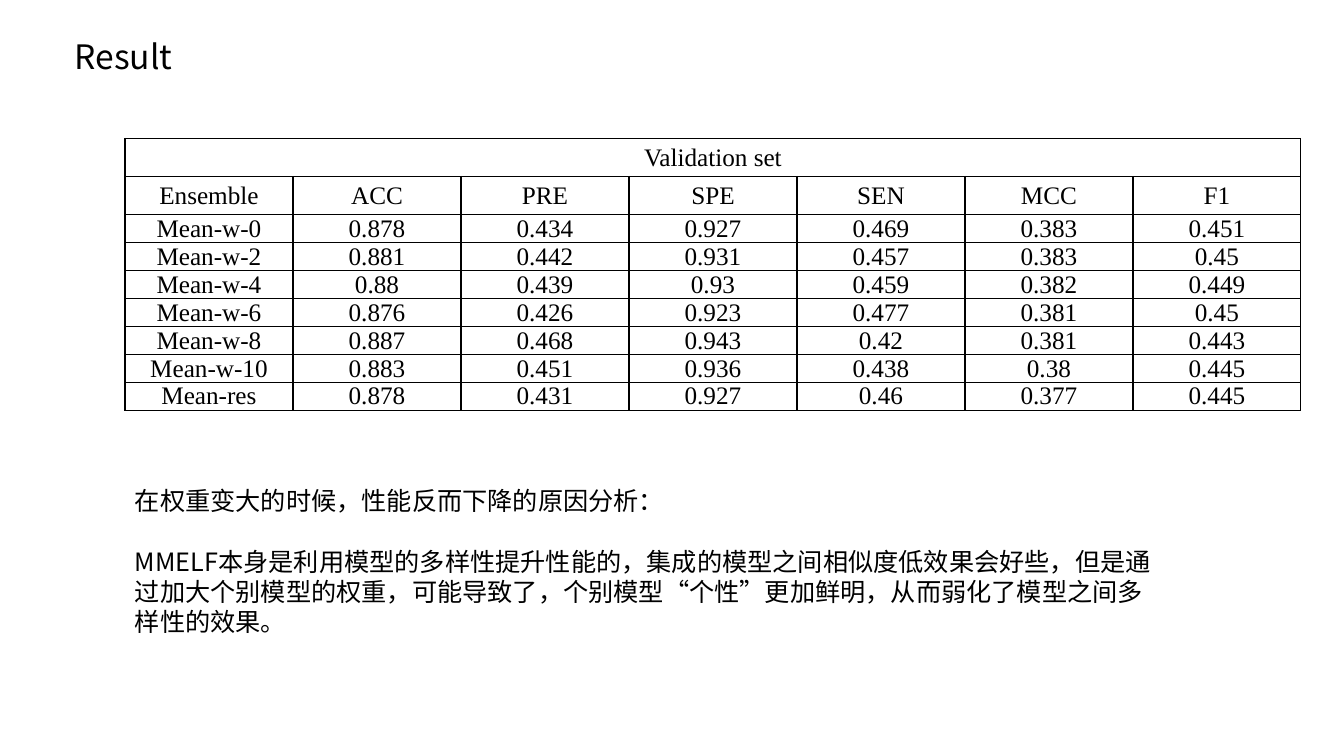
from lxml import etree
from pptx import Presentation
from pptx.dml.color import RGBColor
from pptx.enum.text import MSO_ANCHOR, PP_ALIGN
from pptx.oxml.ns import qn
from pptx.util import Pt

# Content
TITLE = "Result"
TABLE_TITLE = "Validation set"
HEADERS = ["Ensemble", "ACC", "PRE", "SPE", "SEN", "MCC", "F1"]
SCORES = [
    ("Mean-w-0", "0.878", "0.434", "0.927", "0.469", "0.383", "0.451"),
    ("Mean-w-2", "0.881", "0.442", "0.931", "0.457", "0.383", "0.45"),
    ("Mean-w-4", "0.88", "0.439", "0.93", "0.459", "0.382", "0.449"),
    ("Mean-w-6", "0.876", "0.426", "0.923", "0.477", "0.381", "0.45"),
    ("Mean-w-8", "0.887", "0.468", "0.943", "0.42", "0.381", "0.443"),
    ("Mean-w-10", "0.883", "0.451", "0.936", "0.438", "0.38", "0.445"),
    ("Mean-res", "0.878", "0.431", "0.927", "0.46", "0.377", "0.445"),
]
ANALYSIS = [
    "在权重变大的时候，性能反而下降的原因分析：",
    "MMELF本身是利用模型的多样性提升性能的，集成的模型之间相似度低效果会好些，"
    "但是通过加大个别模型的权重，可能导致了，个别模型“个性”更加鲜明，"
    "从而弱化了模型之间多样性的效果。",
]

# Look
BLACK = RGBColor(0, 0, 0)
WHITE = RGBColor(255, 255, 255)
SANS, SERIF = "Noto Sans CJK SC", "Times New Roman"
CENTER, MIDDLE = PP_ALIGN.CENTER, MSO_ANCHOR.MIDDLE
LEFT, TABLE_TOP = 89.3, 98.9
COLUMN_WIDTH, HEADER_HEIGHT, SCORE_HEIGHT = 120, 27.2, 20
HEADER_ROWS = 2
SCORE_MARGINS = {"margin_left": Pt(5), "margin_right": Pt(5),
                 "margin_top": 0, "margin_bottom": 0}


def write(para, text, size, face):
    span = para.add_run()
    span.text = text
    for name, value in {"size": Pt(size), "name": face}.items():
        setattr(span.font, name, value)
    span.font.color.rgb = BLACK
    east_asian = etree.SubElement(span.font._element, qn("a:ea"))
    east_asian.set("typeface", face)


def add_text(page, texts, place, size, gap=0):
    box = page.shapes.add_textbox(*map(Pt, place))
    frame = box.text_frame
    frame.word_wrap = True
    for number, text in enumerate(texts):
        para = frame.add_paragraph() if number else frame.paragraphs[0]
        if number:
            para.space_before = Pt(gap)
        write(para, text, size, SANS)


def add_borders(cell):
    properties = cell._tc.get_or_add_tcPr()
    for position, side in enumerate(("lnL", "lnR", "lnT", "lnB")):
        line = etree.Element(qn(f"a:{side}"), w=str(Pt(1)))
        fill = etree.SubElement(line, qn("a:solidFill"))
        etree.SubElement(fill, qn("a:srgbClr"), val=str(BLACK))
        properties.insert(position, line)


def add_scores(page):
    rows = [[TABLE_TITLE] + [""] * (len(HEADERS) - 1), HEADERS, *SCORES]
    heights = [HEADER_HEIGHT] * HEADER_ROWS + [SCORE_HEIGHT] * len(SCORES)
    place = LEFT, TABLE_TOP, COLUMN_WIDTH * len(HEADERS), sum(heights)
    table = page.shapes.add_table(len(rows), len(HEADERS), *map(Pt, place)).table
    for column in table.columns:
        column.width = Pt(COLUMN_WIDTH)
    for row, height in zip(table.rows, heights):
        row.height = Pt(height)
    table.cell(0, 0).merge(table.cell(0, len(HEADERS) - 1))

    for row_number, values in enumerate(rows):
        for column_number, value in enumerate(values):
            cell = table.cell(row_number, column_number)
            cell.fill.solid()
            cell.fill.fore_color.rgb = WHITE
            cell.vertical_anchor = MIDDLE
            add_borders(cell)
            if row_number >= HEADER_ROWS:
                for name, margin in SCORE_MARGINS.items():
                    setattr(cell, name, margin)
            para = cell.text_frame.paragraphs[0]
            para.alignment = CENTER
            para.font.size = Pt(18)
            if value:
                write(para, value, 18, SERIF)


def main():
    deck = Presentation()
    deck.slide_width, deck.slide_height = Pt(960), Pt(540)
    page = deck.slides.add_slide(deck.slide_layouts[6])
    add_scores(page)
    add_text(page, ANALYSIS, (LEFT, 343.4, 746, 116.6), 18, gap=21.6)
    add_text(page, [TITLE], (46.1, 22.3, 132.5, 36), 24)
    deck.save("out.pptx")


if __name__ == "__main__":
    main()
